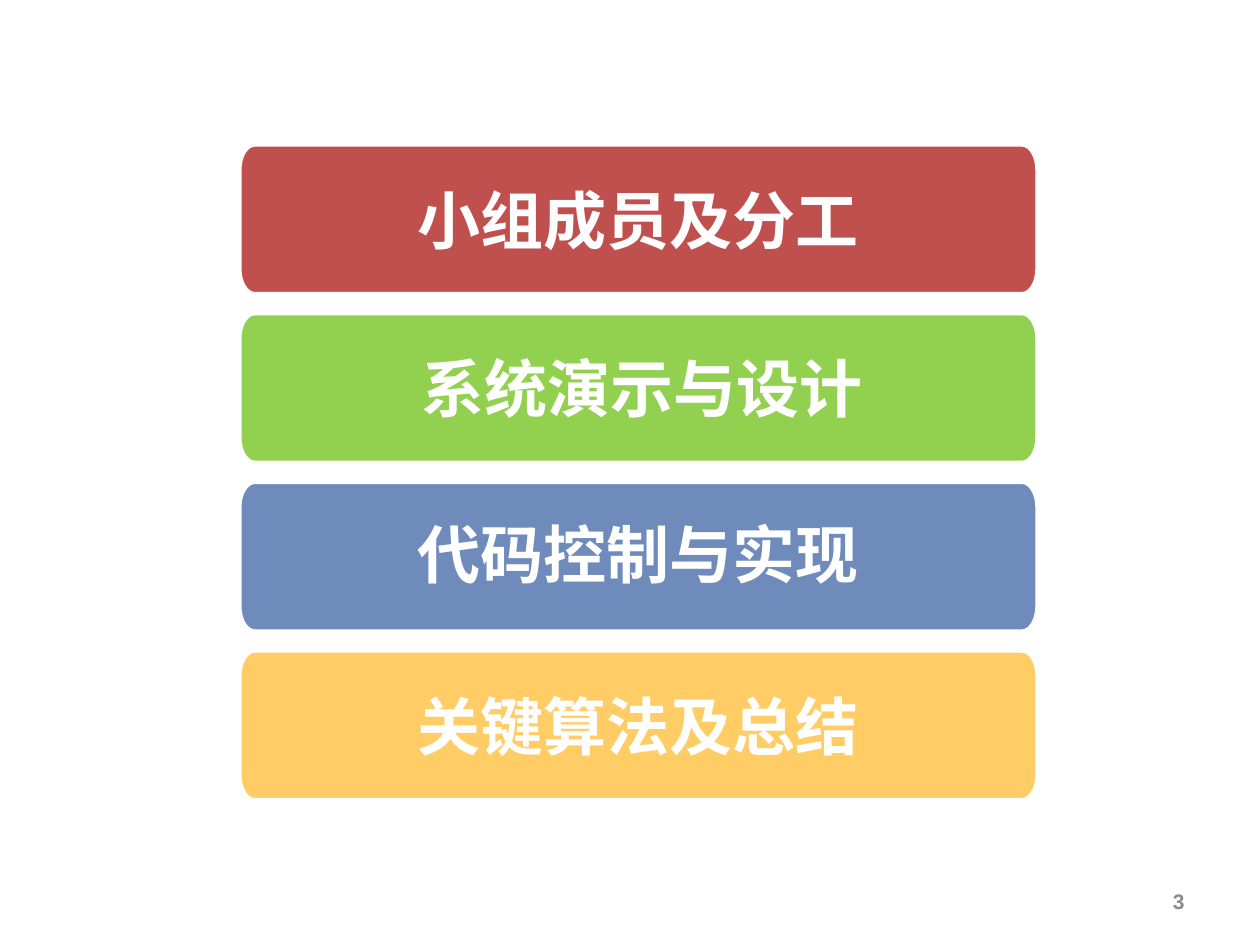
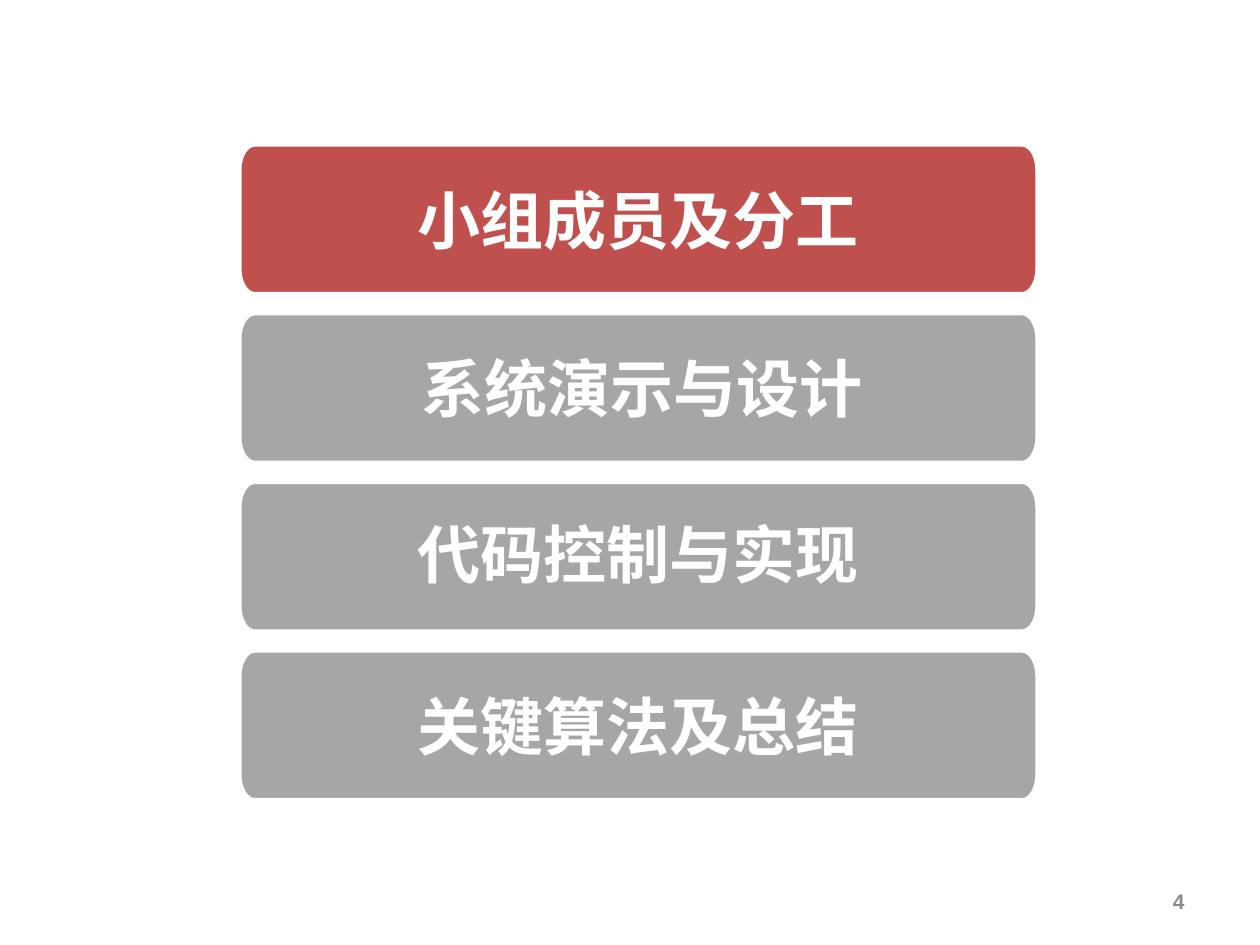
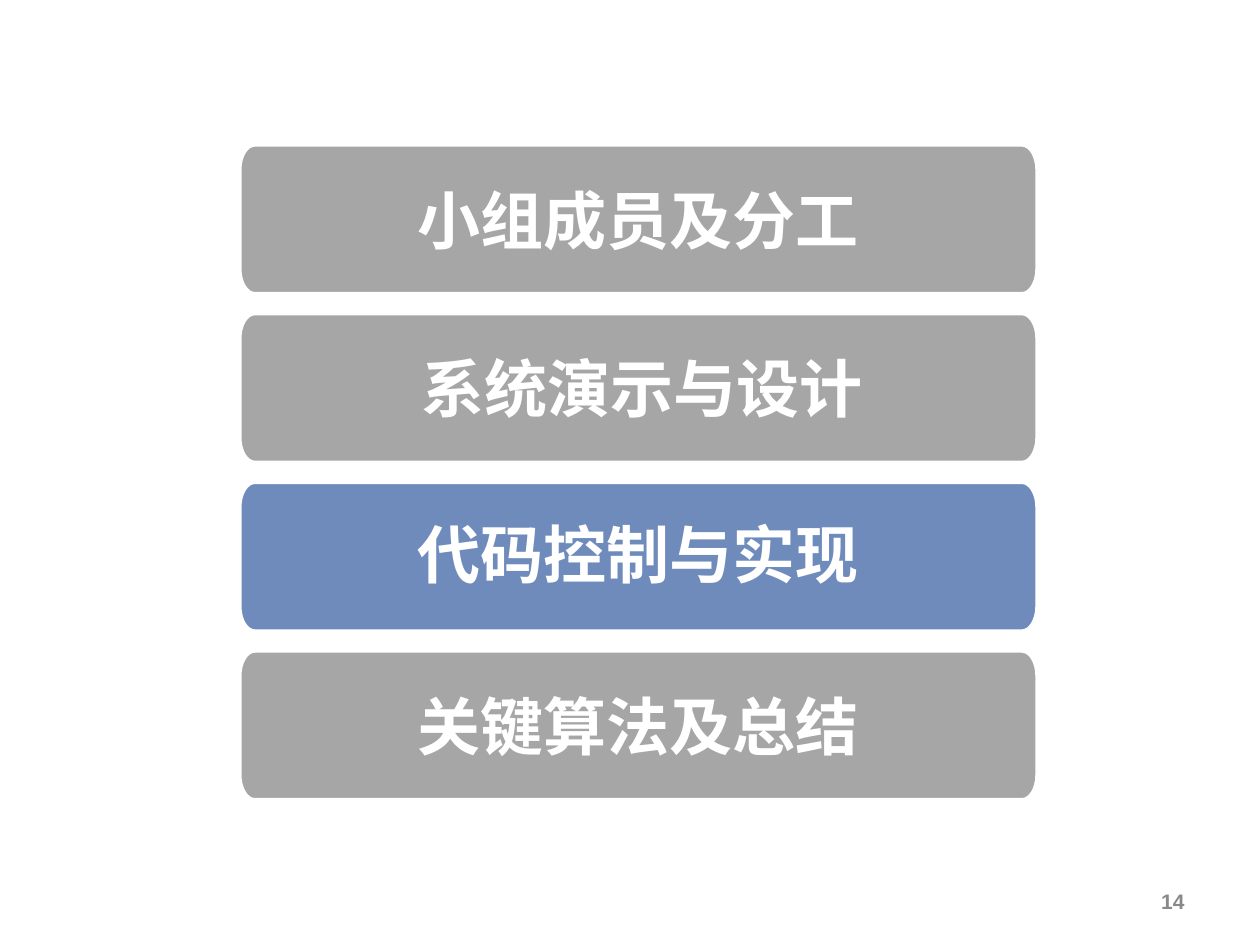
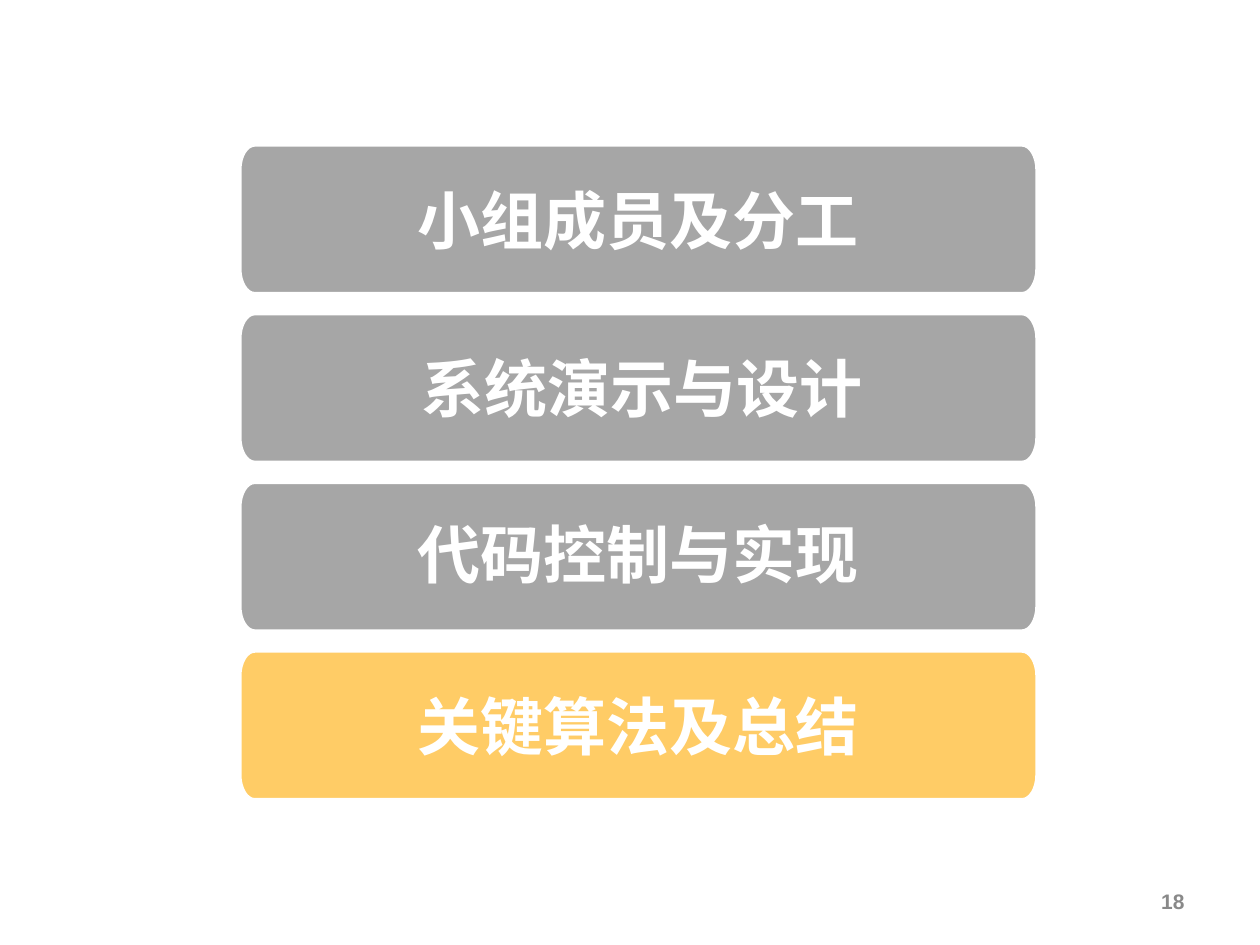
from pptx import Presentation
from pptx.dml.color import RGBColor
from pptx.enum.text import MSO_ANCHOR, MSO_AUTO_SIZE, PP_ALIGN
from pptx.oxml.ns import qn
from pptx.util import Pt
from lxml import etree

CENTER, RIGHT = PP_ALIGN.CENTER, PP_ALIGN.RIGHT
TOP, MIDDLE = MSO_ANCHOR.TOP, MSO_ANCHOR.MIDDLE
FIT, NONE = MSO_AUTO_SIZE.SHAPE_TO_FIT_TEXT, MSO_AUTO_SIZE.NONE

WHITE = RGBColor(0xFF, 0xFF, 0xFF)
RED = RGBColor(0xC0, 0x50, 0x4D)
GREEN = RGBColor(0x92, 0xD0, 0x50)
BLUE = RGBColor(0x6E, 0x8B, 0xBB)
AMBER = RGBColor(0xFF, 0xCC, 0x66)
GRAY = RGBColor(0xA6, 0xA6, 0xA6)
DIM = RGBColor(0x89, 0x89, 0x89)

# Bars: shared size, spacing, corner radii and curve strength
LEFT, FIRST, WIDTH, HIGH, STEP = 137, 82.8, 455.6, 85, 96.4
RX, RY = 8.6, 14.2
BEND = 0.55

# Topic, colour, left and top of its label
TOPICS = [
    ("小组成员及分工", RED, 136.8, 100),
    ("系统演示与设计", GREEN, 139, 196.2),
    ("代码控制与实现", BLUE, 136.8, 291.3),
    ("关键算法及总结", AMBER, 136.8, 389.5),
]

# Page number and the topics that are lit
PAGES = [(3, (0, 1, 2, 3)), (4, (0,)), (14, (2,)), (18, (3,))]


def add_bar(slide, top, color):
    """Draw a bar with elliptical corners, clockwise from the left side."""
    right, base = LEFT + WIDTH, top + HIGH
    near, far = LEFT + RX, right - RX
    high, low = top + RY, base - RY
    spots = [(LEFT, high), (near, top), (far, top), (right, high),
             (right, low), (far, base), (near, base), (LEFT, low)]
    points = [(Pt(x), Pt(y)) for x, y in spots]
    pen = slide.shapes.build_freeform(*points[0])
    pen.add_line_segments(points[1:], close=True)
    bar = pen.convert_to_shape()
    bar.shadow.inherit = False
    bar.fill.solid()
    bar.fill.fore_color.rgb = color
    bar.line.color.rgb = WHITE
    bar.line.width = Pt(2)

    # Every other segment is a corner: turn it into a curve
    marks = [(int(p.get("x")), int(p.get("y"))) for p in bar._element.iter(qn("a:pt"))]
    lines = list(bar._element.iter(qn("a:lnTo")))
    for i in range(0, 8, 2):
        start, end = marks[i], marks[i + 1]
        tip = (start[0], end[1]) if i % 4 == 0 else (end[0], start[1])
        curve = etree.Element(qn("a:cubicBezTo"))
        for spot, pull in ((start, BEND), (end, BEND), (end, 0)):
            x, y = (round(a + pull * (b - a)) for a, b in zip(spot, tip))
            etree.SubElement(curve, qn("a:pt"), x=str(x), y=str(y))
        lines[i].getparent().replace(lines[i], curve)


def add_text(slide, text, box, size, font, color, align, anchor, fit):
    frame = slide.shapes.add_textbox(*map(Pt, box)).text_frame
    frame.text = text
    frame.word_wrap = True
    frame.auto_size = fit
    frame.vertical_anchor = anchor
    para = frame.paragraphs[0]
    para.alignment = align
    run = para.runs[0]
    run.font.size = Pt(size)
    run.font.bold = True
    run.font.name = font
    run.font.color.rgb = color
    # Chinese glyphs take the East Asian typeface
    etree.SubElement(run.font._element, qn("a:ea"), typeface=font)


deck = Presentation()
deck.slide_width, deck.slide_height = Pt(720), Pt(540)

for page, lit in PAGES:
    slide = deck.slides.add_slide(deck.slide_layouts[6])

    # Page number
    add_text(slide, str(page), (516, 500.5, 168, 28.8), 12, "Arial", DIM, RIGHT, MIDDLE, NONE)

    # Bars
    for row, (topic, color, left, top) in enumerate(TOPICS):
        add_bar(slide, FIRST + row * STEP, color if row in lit else GRAY)

    # Labels
    for topic, color, left, top in TOPICS:
        add_text(slide, topic, (left, top, WIDTH, 51), 36, "Noto Sans CJK SC", WHITE, CENTER, TOP, FIT)

deck.save("out.pptx")
